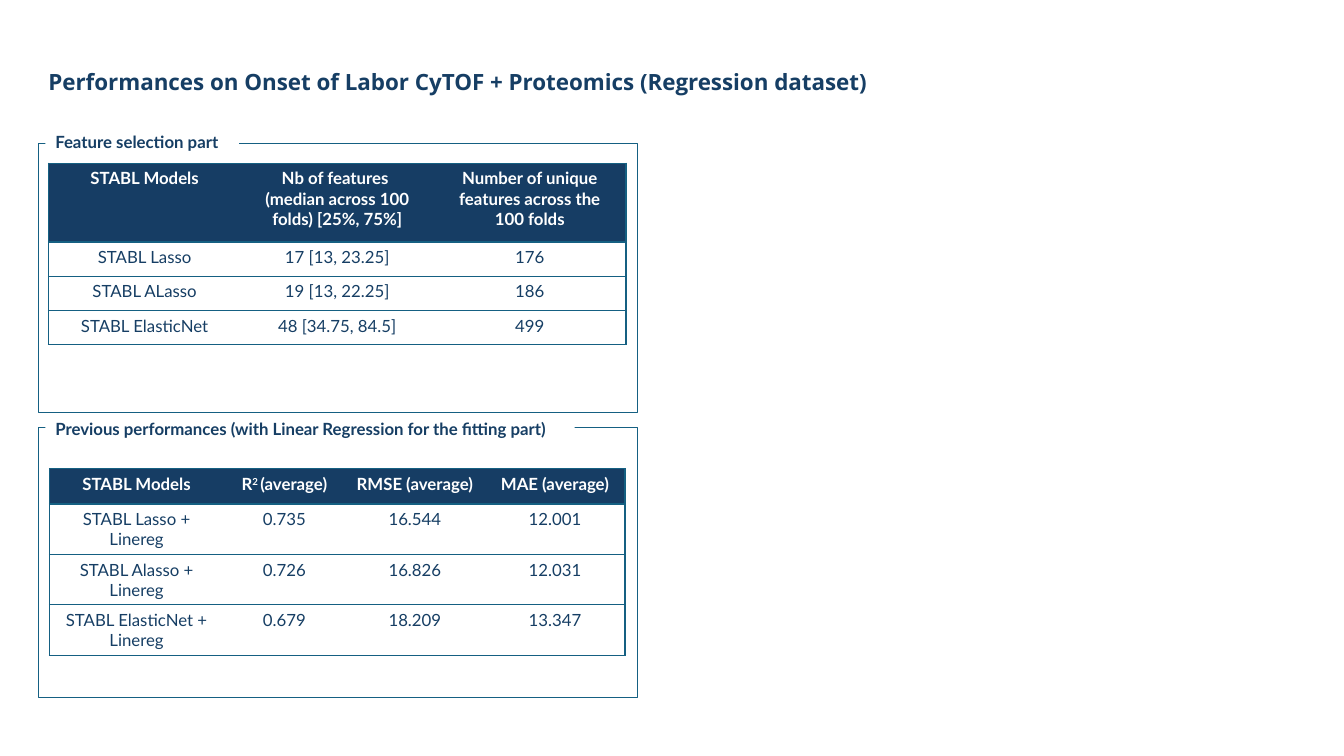
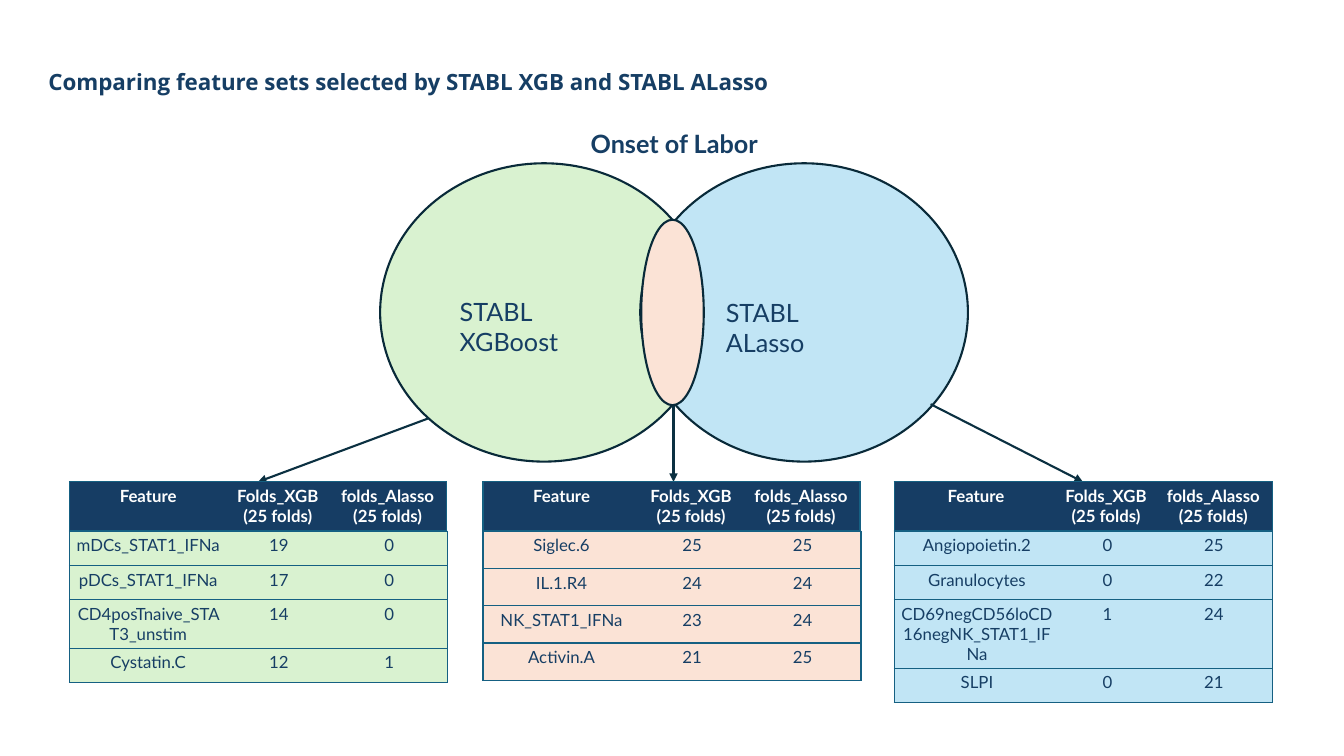
from lxml.etree import SubElement
from pptx import Presentation
from pptx.dml.color import RGBColor
from pptx.enum.shapes import MSO_CONNECTOR, MSO_SHAPE
from pptx.enum.text import MSO_ANCHOR, PP_ALIGN
from pptx.oxml import parse_xml
from pptx.oxml.ns import nsdecls, qn
from pptx.util import Pt

PX = 9144  # one hundredth of an inch in EMU
NAVY, HEADER, TEAL, WHITE = "163E64", "163D64", "156082", "FFFFFF"
OUTLINE, ARROW = "092A39", "0B3041"
GREEN, PEACH, BLUE = "D9F2D0", "FBE3D6", "C1E5F5"
NO_TABLE_STYLE = "{2D5ABB26-0587-4C30-8999-92F81FD0307C}"

LABEL = {"name": "Lato", "size": Pt(12), "bold": True}
CELL = {**LABEL, "bold": False}
VENN_LABEL = {**CELL, "size": Pt(18)}
VENN_HEADING = {**VENN_LABEL, "bold": True}
TITLE = {"name": "Open Sans", "size": Pt(16), "bold": True}


def color(hex_value):
    return RGBColor.from_string(hex_value)


def px(*lengths):
    return [length * PX for length in lengths]


def set_all(target, values):
    for name, value in values.items():
        setattr(target, name, value)


class Deck:
    """Holds the presentation, its style and the current slide."""

    def __init__(self):
        self.presentation = Presentation()
        width, height = px(1333, 750)
        set_all(self.presentation, {"slide_width": width, "slide_height": height})
        self.slide = None

    def add_slide(self, title):
        layout = self.presentation.slide_layouts[5]
        self.slide = self.presentation.slides.add_slide(layout)
        shape = self.slide.shapes.title
        left, top, width, height = px(38, 58, 1150, 49)
        set_all(shape, {"left": left, "top": top, "width": width, "height": height})
        set_all(shape.text_frame, {"vertical_anchor": MSO_ANCHOR.MIDDLE, "word_wrap": True})
        self.fill_text(shape.text_frame, title, TITLE, line_spacing=0.9)

    def fill_text(self, frame, text, font, ink=NAVY, **paragraph_format):
        """Set one paragraph a line; text between carets is superscript."""
        for index, line in enumerate(text.split("\n")):
            paragraph = frame.add_paragraph() if index else frame.paragraphs[0]
            set_all(paragraph, {"alignment": PP_ALIGN.LEFT, **paragraph_format})
            for position, part in enumerate(line.split("^")):
                run = paragraph.add_run()
                run.text = part
                set_all(run.font, font)
                run.font.color.rgb = color(ink)
                if position % 2:
                    run.font._element.set("baseline", "30000")

    def text(self, box, text, font, fill=None):
        shape = self.slide.shapes.add_textbox(*px(*box))
        shape.text_frame.word_wrap = True
        if fill:
            shape.fill.solid()
            shape.fill.fore_color.rgb = color(fill)
        self.fill_text(shape.text_frame, text, font)

    def shape(self, kind, box, line, weight, fill=None):
        shape = self.slide.shapes.add_shape(kind, *px(*box))
        shape.shadow.inherit = False
        shape.line.color.rgb = color(line)
        shape.line.width = Pt(weight)
        if fill:
            shape.fill.solid()
            shape.fill.fore_color.rgb = color(fill)
        else:
            shape.fill.background()

    def panel(self, box, label_box, label):
        """Draw a frame whose label interrupts its top edge."""
        self.shape(MSO_SHAPE.RECTANGLE, box, TEAL, 0.75)
        self.text(label_box, label, LABEL, WHITE)

    def ellipse(self, box, fill):
        self.shape(MSO_SHAPE.OVAL, box, OUTLINE, 1.5, fill)

    def arrow(self, start, end):
        connector = self.slide.shapes.add_connector(MSO_CONNECTOR.STRAIGHT, *px(*start, *end))
        connector.line.color.rgb = color(ARROW)
        connector.line.width = Pt(1.5)
        SubElement(connector.line._get_or_add_ln(), qn("a:tailEnd"), type="triangle")
        SubElement(connector._element.spPr, qn("a:effectLst"))

    def table(self, corner, columns, heights, rows, header=True, fill=None, inset=None):
        """Draw a table with ruled rows and an outer border."""
        frame = self.slide.shapes.add_table(
            len(rows), len(columns), *px(*corner, sum(columns), sum(heights)))
        table = frame.table
        set_all(table, {"first_row": False, "horz_banding": False})
        table._tbl.tblPr.find(qn("a:tableStyleId")).text = NO_TABLE_STYLE
        for column, width in zip(table.columns, px(*columns)):
            column.width = width
        for row, height in zip(table.rows, px(*heights)):
            row.height = height
        for row_index, values in enumerate(rows):
            heading = header and row_index == 0
            for column_index, value in enumerate(values):
                cell = table.cell(row_index, column_index)
                self.fill_cell(cell, value, heading, fill, inset)
                first, last = column_index == 0, column_index == len(columns) - 1
                self.border(cell, "L" * first + "R" * last + "TB")

    def fill_cell(self, cell, value, heading, fill, inset):
        if inset is not None:
            sides = ("left", "right", "top", "bottom")
            set_all(cell, {f"margin_{side}": inset * PX for side in sides})
        background = HEADER if heading else fill
        if background:
            cell.fill.solid()
            cell.fill.fore_color.rgb = color(background)
        else:
            cell.fill.background()
        self.fill_text(cell.text_frame, value, LABEL if heading else CELL,
                       WHITE if heading else NAVY, alignment=PP_ALIGN.CENTER)

    def border(self, cell, sides):
        properties = cell._tc.get_or_add_tcPr()
        for index, side in enumerate(sides):
            properties.insert(index, parse_xml(
                f'<a:ln{side} {nsdecls("a")} w="12700"><a:solidFill>'
                f'<a:srgbClr val="{TEAL}"/></a:solidFill></a:ln{side}>'))


def add_performance_slide(deck):
    deck.add_slide("Performances on Onset of Labor CyTOF + Proteomics (Regression dataset)")
    deck.panel((38, 142, 594, 267), (45, 126, 192, 30), "Feature selection part")
    deck.table((48, 162), [191] * 3, [78, 34, 34, 34], [
        ("STABL Models", "Nb of features \n(median across 100 folds) [25%, 75%]",
         "Number of unique features across the 100 folds"),
        ("STABL Lasso", "17 [13, 23.25]", "176"),
        ("STABL ALasso", "19 [13, 22.25]", "186"),
        ("STABL ElasticNet", "48 [34.75, 84.5]", "499"),
    ])
    deck.panel((38, 424, 594, 268), (45, 411, 525, 30),
               "Previous performances (with Linear Regression for the fitting part)")
    deck.table((49, 465), [173, 120, 139, 139], [35, 34, 34, 34], [
        ("STABL Models", "R^2 ^(average)", "RMSE (average)", "MAE (average)"),
        ("STABL Lasso + Linereg", "0.735", "16.544", "12.001"),
        ("STABL Alasso + Linereg", "0.726", "16.826", "12.031"),
        ("STABL ElasticNet + Linereg", "0.679", "18.209", "13.347"),
    ])


def add_comparison_slide(deck):
    deck.add_slide("Comparing feature sets selected by STABL XGB and STABL ALasso")
    for left, fill in ((377, GREEN), (635, BLUE)):
        deck.ellipse((left, 162, 325, 296), fill)
    deck.text((446, 289, 188, 40), "STABL XGBoost", VENN_LABEL)
    deck.text((710, 290, 172, 40), "STABL ALasso", VENN_LABEL)
    for start, end in (((425, 415), 256), ((668, 401), 668), ((923, 401), 1074)):
        deck.arrow(start, (end, 478))

    headings = [("Feature", "Folds_XGB\n(25 folds)", "folds_Alasso\n(25 folds)")]
    feature_sets = [
        (69, GREEN, 34, [156, 103, 116], [156, 101, 117], [
            ("mDCs_STAT1_IFNa", "19", "0"),
            ("pDCs_STAT1_IFNa", "17", "0"),
            ("CD4posTnaive_STAT3_unstim", "14", "0"),
            ("Cystatin.C", "12", "1"),
        ]),
        (479, PEACH, 37, [156, 103, 116], [156, 101, 117], [
            ("Siglec.6", "25", "25"),
            ("IL.1.R4", "24", "24"),
            ("NK_STAT1_IFNa", "23", "24"),
            ("Activin.A", "21", "25"),
        ]),
        (887, BLUE, 34, [164, 95, 116], [162, 96, 117], [
            ("Angiopoietin.2", "0", "25"),
            ("Granulocytes", "0", "22"),
            ("CD69negCD56loCD16negNK_STAT1_IFNa", "1", "24"),
            ("SLPI", "0", "21"),
        ]),
    ]
    for left, fill, row_height, columns, heading_columns, rows in feature_sets:
        deck.table((left, 527), columns, [row_height] * len(rows), rows,
                   header=False, fill=fill, inset=4)
        deck.table((left, 478), heading_columns, [48], headings, inset=4)

    deck.text((576, 122, 188, 40), "Onset of Labor", VENN_HEADING)
    deck.ellipse((636, 218, 62, 184), PEACH)


def main():
    deck = Deck()
    add_performance_slide(deck)
    add_comparison_slide(deck)
    deck.presentation.save("out.pptx")


if __name__ == "__main__":
    main()
